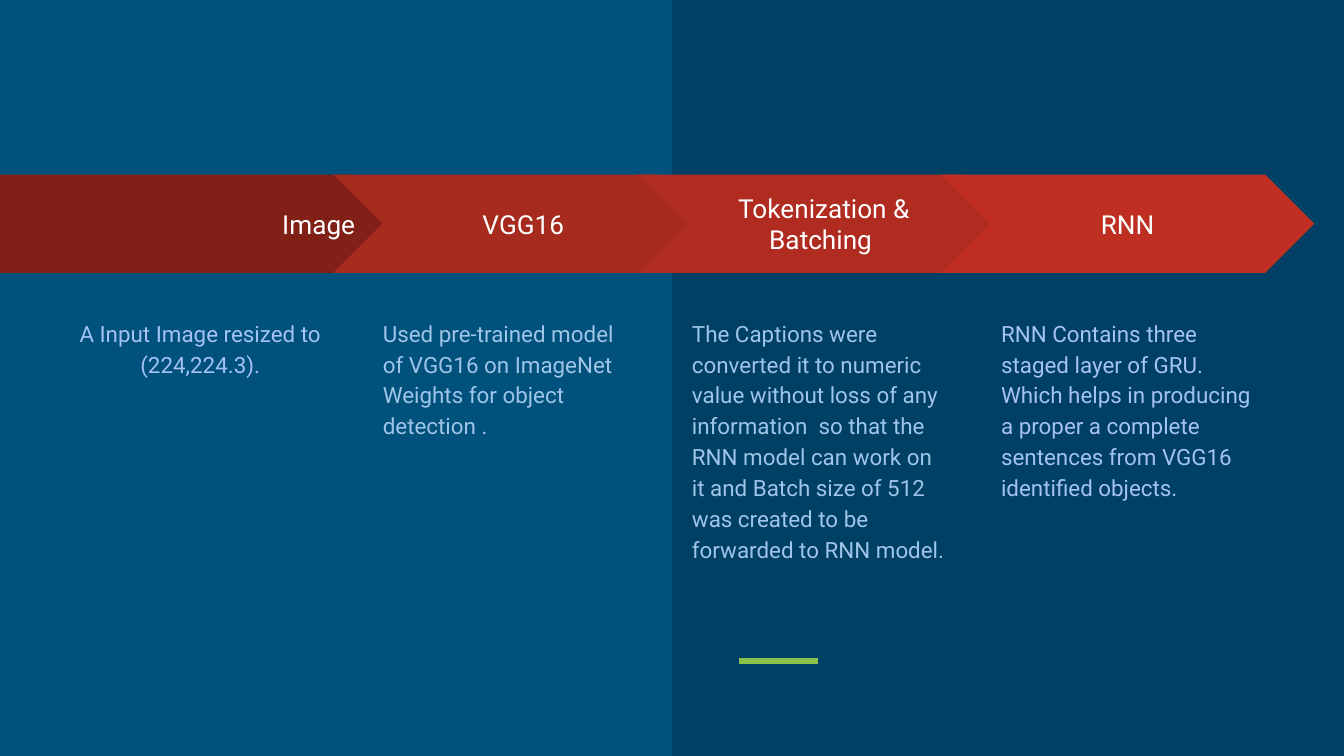
"""Build a slide with a four-step image captioning process."""
from lxml import etree
from pptx import Presentation
from pptx.dml.color import RGBColor
from pptx.enum.shapes import MSO_CONNECTOR, MSO_SHAPE
from pptx.enum.text import MSO_ANCHOR, PP_ALIGN
from pptx.oxml.ns import qn
from pptx.util import Inches, Pt

RECTANGLE, PENTAGON, CHEVRON = MSO_SHAPE.RECTANGLE, MSO_SHAPE.PENTAGON, MSO_SHAPE.CHEVRON
STRAIGHT = MSO_CONNECTOR.STRAIGHT
TOP, MIDDLE = MSO_ANCHOR.TOP, MSO_ANCHOR.MIDDLE
LEFT, CENTER = PP_ALIGN.LEFT, PP_ALIGN.CENTER

BLUE = RGBColor(0x00, 0x51, 0x7C)
NAVY = RGBColor(0x00, 0x40, 0x65)
GREEN = RGBColor(0x8B, 0xC3, 0x4A)
WHITE = RGBColor(0xFF, 0xFF, 0xFF)
PERIWINKLE = RGBColor(0xA4, 0xC2, 0xF4)
SKY = RGBColor(0x9F, 0xC5, 0xE8)
MAROON = RGBColor(0x80, 0x20, 0x17)
BRICK = RGBColor(0xA7, 0x2A, 0x1E)
RUST = RGBColor(0xB0, 0x2C, 0x20)
RED = RGBColor(0xBE, 0x2F, 0x22)

MARGIN = Inches(0.1)
ARROW_TOP, ARROW_HEIGHT = Inches(1.3), Inches(0.73)
ARROW_START, ARROW_STEP, ARROW_WIDTH = Inches(0.22), Inches(2.26), Inches(2.78)
FIRST_WIDTH, FIRST_INDENT = Inches(2.98), Inches(2.1)
BODY_START, BODY_STEP = Inches(0.45), Inches(2.3)
BODY_TOP, BODY_WIDTH, BODY_HEIGHT = Inches(2.25), Inches(2.08), Inches(2.86)

STEPS = [
    ("Image", MAROON, PERIWINKLE, CENTER, ["A Input Image resized to (224,224.3)."]),
    (" VGG16", BRICK, SKY, LEFT,
     ["Used pre-trained model of VGG16 on ImageNet Weights for object detection ."]),
    ("Tokenization & Batching ", RUST, SKY, LEFT,
     ["The Captions were  converted it to numeric value without loss of any "
      "information  so that the RNN model can work on it and Batch size of 512 "
      "was created to be forwarded to RNN model."]),
    ("RNN", RED, PERIWINKLE, LEFT,
     ["RNN Contains three staged layer of GRU.",
      "Which helps in producing a proper a complete sentences from VGG16 identified objects."]),
]


def add_block(kind, left, top, width, height, color):
    shape = slide.shapes.add_shape(kind, left, top, width, height)
    shape.shadow.inherit = False
    shape.fill.solid()
    shape.fill.fore_color.rgb = color
    shape.line.fill.background()
    return shape


def write_text(shape, lines, size, color, alignment, spacing, anchor):
    frame = shape.text_frame
    frame_format = {"word_wrap": True, "vertical_anchor": anchor, "margin_left": MARGIN,
                    "margin_right": MARGIN, "margin_top": MARGIN, "margin_bottom": MARGIN}
    for name, value in frame_format.items():
        setattr(frame, name, value)
    frame.text = "\n".join(lines)
    for paragraph in frame.paragraphs:
        paragraph.alignment = alignment
        paragraph.line_spacing = spacing
        font = paragraph.runs[0].font
        for name, value in {"name": "Roboto", "size": Pt(size)}.items():
            setattr(font, name, value)
        font.color.rgb = color


presentation = Presentation()
presentation.slide_width = Inches(10)
presentation.slide_height = presentation.slide_width * 9 // 16
slide = presentation.slides.add_slide(presentation.slide_layouts[6])
slide.background.fill.solid()
slide.background.fill.fore_color.rgb = BLUE

half = presentation.slide_width // 2
add_block(RECTANGLE, half, 0, half, presentation.slide_height, NAVY)

accent = slide.shapes.add_connector(STRAIGHT, Inches(5.5), Inches(4.92), Inches(6.09), Inches(4.92))
accent.line.color.rgb = GREEN
accent.line.width = Pt(3)
etree.SubElement(accent._element.spPr, qn("a:effectLst"))

for column, (label, fill, text_color, alignment, lines) in enumerate(STEPS):
    if column == 0:
        arrow = add_block(PENTAGON, 0, ARROW_TOP, FIRST_WIDTH, ARROW_HEIGHT, fill)
        write_text(arrow, [label], 14, WHITE, LEFT, 1.0, MIDDLE)
        arrow.text_frame.margin_left = FIRST_INDENT
    else:
        arrow = add_block(CHEVRON, ARROW_START + column * ARROW_STEP, ARROW_TOP,
                          ARROW_WIDTH, ARROW_HEIGHT, fill)
        write_text(arrow, [label], 14, WHITE, CENTER, 1.0, MIDDLE)
    body = slide.shapes.add_textbox(BODY_START + column * BODY_STEP, BODY_TOP,
                                    BODY_WIDTH, BODY_HEIGHT)
    write_text(body, lines, 12, text_color, alignment, 1.15, TOP)

presentation.save("out.pptx")
